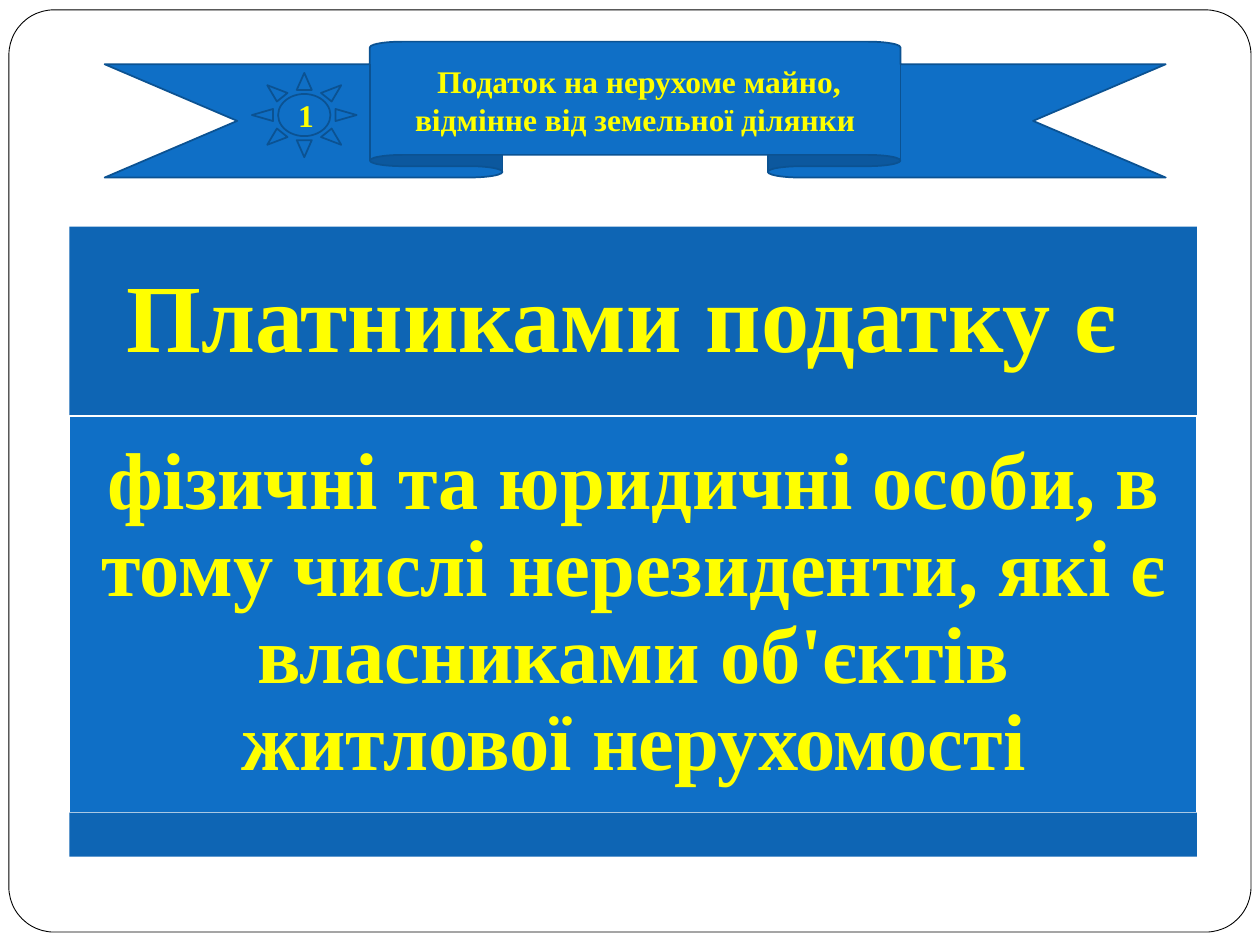
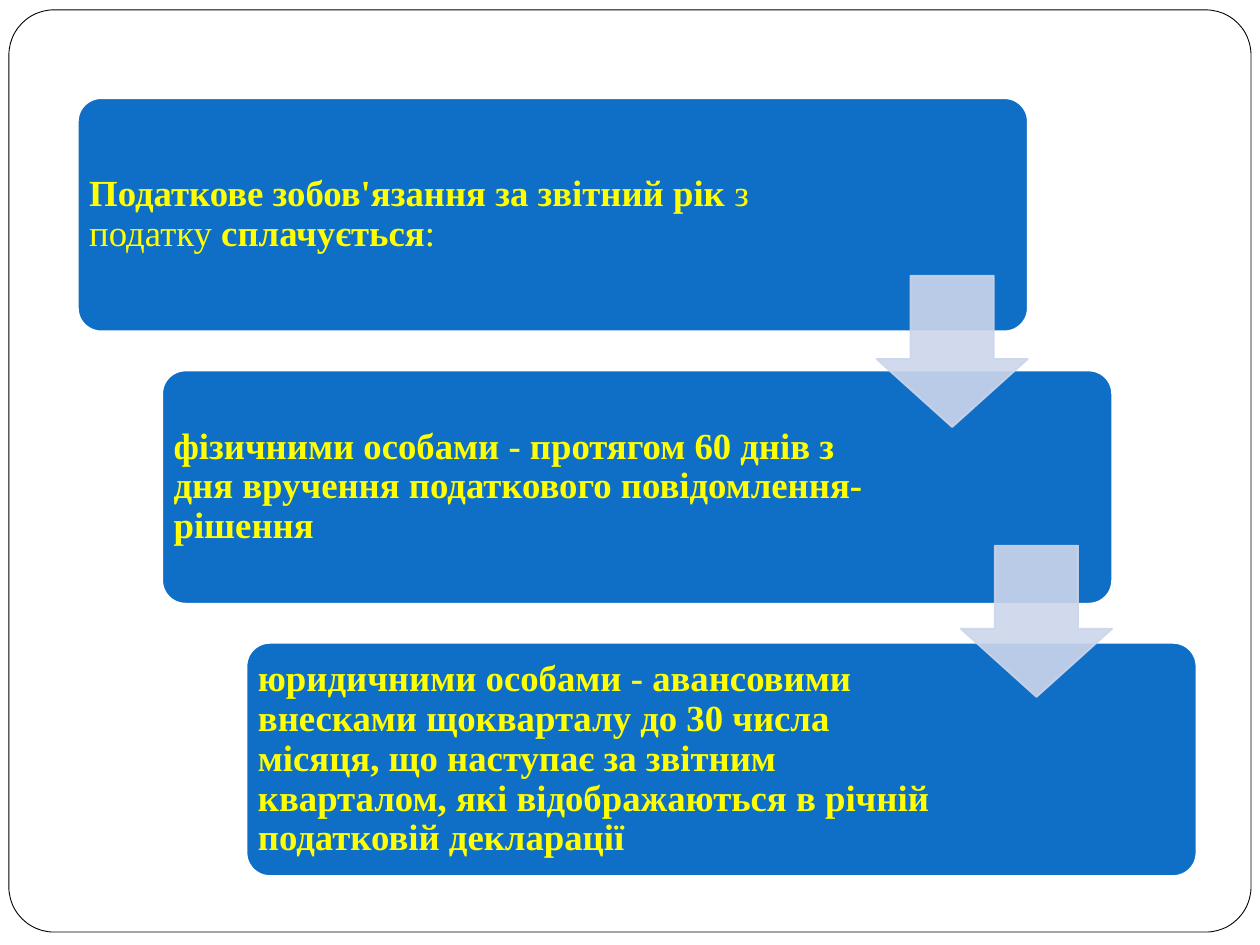
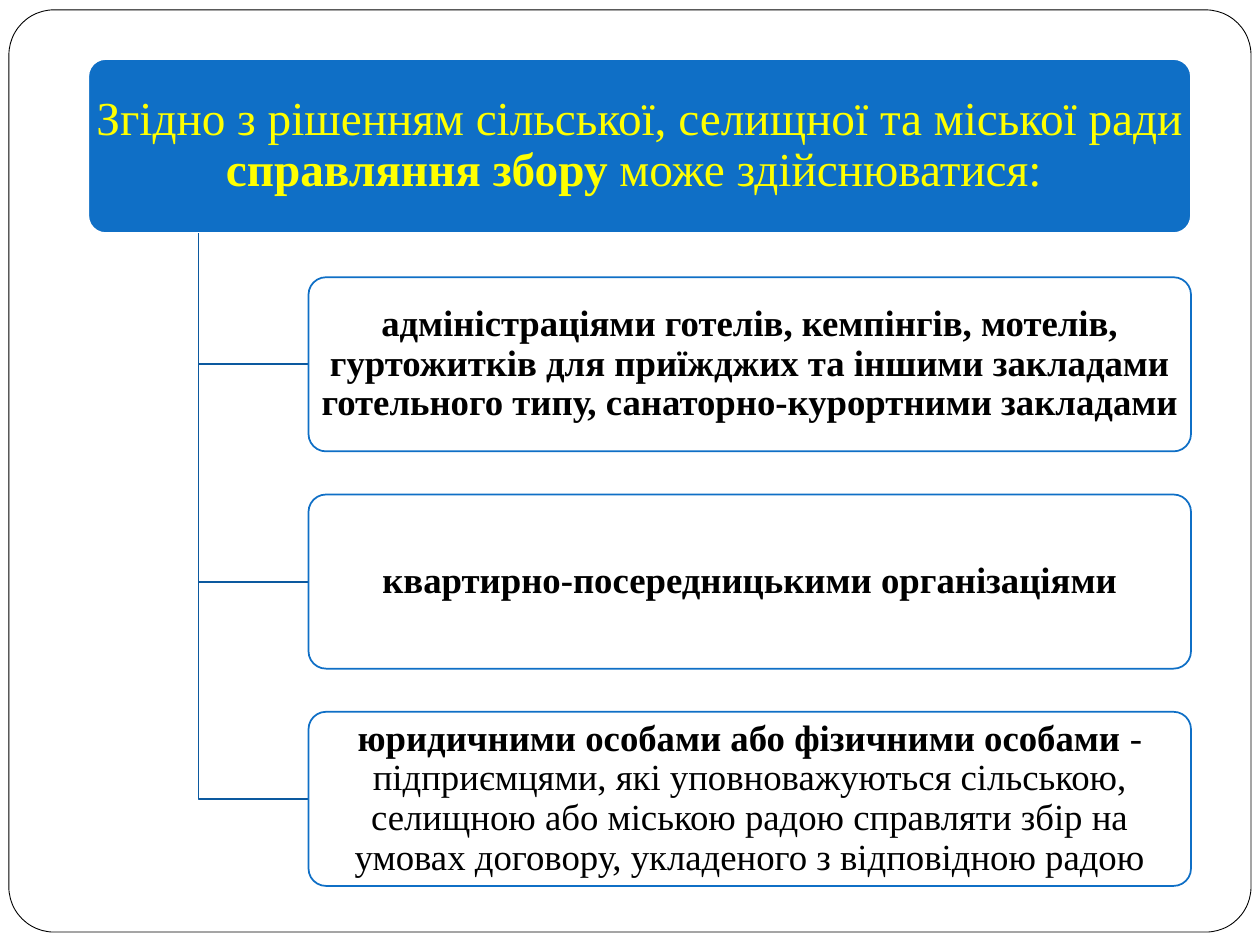
from pptx import Presentation
from pptx.dml.color import RGBColor
from pptx.enum.shapes import MSO_SHAPE
from pptx.enum.text import MSO_ANCHOR, MSO_AUTO_SIZE, PP_ALIGN
from pptx.oxml.ns import qn
from pptx.util import Cm, Pt
from lxml import etree

RECTANGLE, ROUNDED = MSO_SHAPE.RECTANGLE, MSO_SHAPE.ROUNDED_RECTANGLE
RIBBON, SUN, ARROW = MSO_SHAPE.UP_RIBBON, MSO_SHAPE.SUN, MSO_SHAPE.DOWN_ARROW
LEFT, CENTER = PP_ALIGN.LEFT, PP_ALIGN.CENTER
TITLE_ONLY, BLANK = 5, 6
FONT = "Times New Roman"
COLORS = {
    "white": "FFFFFF", "black": "000000", "yellow": "FFFF00",
    "blue": "0F6FC6", "band": "0E65B4", "outline": "0B5292",
    "branch": "0C599F", "arrow": "CCD5EA",
}

# Text is a list of (words, bold) spans.
TAX_NAME = [(" Податок на нерухоме майно, відмінне від земельної ділянки", True)]
TAX_NUMBER = [("1", True)]
# top, height, fill, line, text, size, margin
PAYER_BANDS = [
    (4.57, 3.81, "band", None, [("Платниками податку є ", True)], 55, 0.58),
    (8.38, 8, "blue", "white",
     [("фізичні та юридичні особи, в тому числі нерезиденти, які є "
       "власниками об'єктів житлової нерухомості", True)], 46, 0.48),
    (16.38, 0.89, "band", None, [], 18, 0.25),
]
PAYMENT_STEPS = [
    [("Податкове зобов'язання за звітний рік", True), (" з податку ", False),
     ("сплачується", True), (":", False)],
    [("фізичними особами - протягом 60 днів з дня вручення податкового "
      "повідомлення-рішення", True)],
    [("юридичними особами - авансовими внесками щокварталу до 30 числа місяця, "
      "що наступає за звітним кварталом, які відображаються в річній "
      "податковій декларації", True)],
]
COLLECTION_TITLE = [
    ("Згідно з рішенням сільської, селищної та міської ради ", False),
    ("справляння збору", True), (" може здійснюватися: ", False),
]
COLLECTORS = [
    [("адміністраціями готелів, кемпінгів, мотелів, гуртожитків для приїжджих "
      "та іншими закладами готельного типу, санаторно-курортними закладами", True)],
    [("квартирно-посередницькими організаціями", True)],
    [("юридичними особами або фізичними особами", True),
     (" - підприємцями, які уповноважуються сільською, селищною або міською "
      "радою справляти збір на умовах договору, укладеного з відповідною радою",
      False)],
]


def rgb(name):
    return RGBColor.from_string(COLORS[name])


def set_opacity(fill_format_parent, percent):
    """Make every solid colour below the given XML element partly transparent."""
    for color in fill_format_parent.iter(qn("a:srgbClr")):
        etree.SubElement(color, qn("a:alpha")).set("val", str(percent * 1000))


def add_block(slide, kind, place, fill, line=None, line_width=1, adjustments=()):
    block = slide.shapes.add_shape(kind, *map(Cm, place))
    block.shadow.inherit = False
    block.fill.solid()
    block.fill.fore_color.rgb = rgb(fill)
    if line:
        block.line.color.rgb = rgb(line)
        block.line.width = Pt(line_width)
    else:
        block.line.fill.background()
    for index, value in enumerate(adjustments):
        block.adjustments[index] = value
    return block


def write(shape, spans, size, color="yellow", align=CENTER, margins=(0.25, 0.13),
          spacing=0.9):
    frame = shape.text_frame
    frame.word_wrap = True
    frame.auto_size = MSO_AUTO_SIZE.NONE
    frame.vertical_anchor = MSO_ANCHOR.MIDDLE
    frame.margin_left = frame.margin_right = Cm(margins[0])
    frame.margin_top = frame.margin_bottom = Cm(margins[1])
    para = frame.paragraphs[0]
    para.alignment = align
    para.line_spacing = spacing
    for words, bold in spans:
        span = para.add_run()
        span.text = words
        span.font.name = FONT
        span.font.size = Pt(size)
        span.font.bold = bold
        span.font.color.rgb = rgb(color)


def add_words(slide, place, spans, size, **style):
    write(slide.shapes.add_textbox(*map(Cm, place)), spans, size, **style)


def add_title(slide, place, spans, size, **style):
    """Place the title and bring it in front of the shapes drawn so far."""
    title = slide.shapes.title
    title.left, title.top, title.width, title.height = map(Cm, place)
    write(title, spans, size, **style)
    slide.shapes.element.append(title.element)


def add_frame_to_master(deck, slide):
    frame = add_block(slide, ROUNDED, (0.18, 0.2, 25.04, 18.59), "white",
                      "black", 0.5, [0.049])
    deck.slide_master.shapes.element.insert(2, frame.element)


def build_payers(slide):
    for top, height, fill, line, spans, size, margin in PAYER_BANDS:
        band = add_block(slide, RECTANGLE, (1.4, top, 22.73, height), fill, line)
        if spans:
            write(band, spans, size, margins=(margin, margin))
    add_block(slide, RIBBON, (2.11, 0.84, 21.39, 2.74), "blue", "outline")
    sun = add_block(slide, SUN, (5.08, 1.47, 2.11, 1.7), "blue", "outline")
    write(sun, TAX_NUMBER, 18, spacing=1)
    add_title(slide, (7.46, 0.88, 10.69, 2.28), TAX_NAME, 18, spacing=1)


def build_payment(slide):
    left, top, width, height = 1.57, 1.98, 19.15, 4.7
    step_right, step_down = 1.7, 5.49
    for index, spans in enumerate(PAYMENT_STEPS):
        x, y = left + index * step_right, top + index * step_down
        add_block(slide, ROUNDED, (x, y, width, height), "blue", "white",
                  adjustments=[0.1])
        add_words(slide, (x, y, 14.4, height), spans, 21, align=LEFT,
                  margins=(0.23, 0.23))
    arrow_size = 3.05
    for index in range(len(PAYMENT_STEPS) - 1):
        x = left + width - arrow_size + index * step_right
        arrow = add_block(slide, ARROW,
                          (x, 5.56 + index * 5.44, arrow_size, arrow_size),
                          "arrow", "arrow", adjustments=[0.55, 0.45])
        set_opacity(arrow.element.spPr, 90)


def add_branch(slide, trunk, top, end, middle):
    builder = slide.shapes.build_freeform(Cm(trunk), Cm(top))
    builder.add_line_segments(
        [(Cm(trunk), Cm(middle)), (Cm(end), Cm(middle))], close=False)
    branch = builder.convert_to_shape()
    branch.shadow.inherit = False
    branch.fill.background()
    branch.line.color.rgb = rgb("branch")
    branch.line.width = Pt(1)


def build_collection(slide):
    left, top, width, height = 1.78, 1.19, 22.23, 3.51
    item_left, item_top, item_step = 6.22, 5.59, 4.38
    header = (left, top, width, height)
    add_block(slide, ROUNDED, header, "blue", "white", adjustments=[0.1])
    add_title(slide, header, COLLECTION_TITLE, 27, margins=(0.15, 0.1))
    for index, spans in enumerate(COLLECTORS):
        y = item_top + index * item_step
        place = (item_left, y, left + width - item_left, height)
        add_branch(slide, left + width / 10, top + height, item_left, y + height / 2)
        item = add_block(slide, ROUNDED, place, "white", "blue", adjustments=[0.1])
        set_opacity(item.element.spPr.find(qn("a:solidFill")), 90)
        add_words(slide, place, spans, 21, color="black", margins=(0.1, 0.08))


def main():
    deck = Presentation()
    deck.slide_width, deck.slide_height = Cm(25.4), Cm(19.05)
    pages = [(TITLE_ONLY, build_payers), (BLANK, build_payment),
             (TITLE_ONLY, build_collection)]
    for number, (layout, build) in enumerate(pages):
        page = deck.slides.add_slide(deck.slide_layouts[layout])
        if number == 0:
            add_frame_to_master(deck, page)
        build(page)
    deck.save("out.pptx")


if __name__ == "__main__":
    main()
